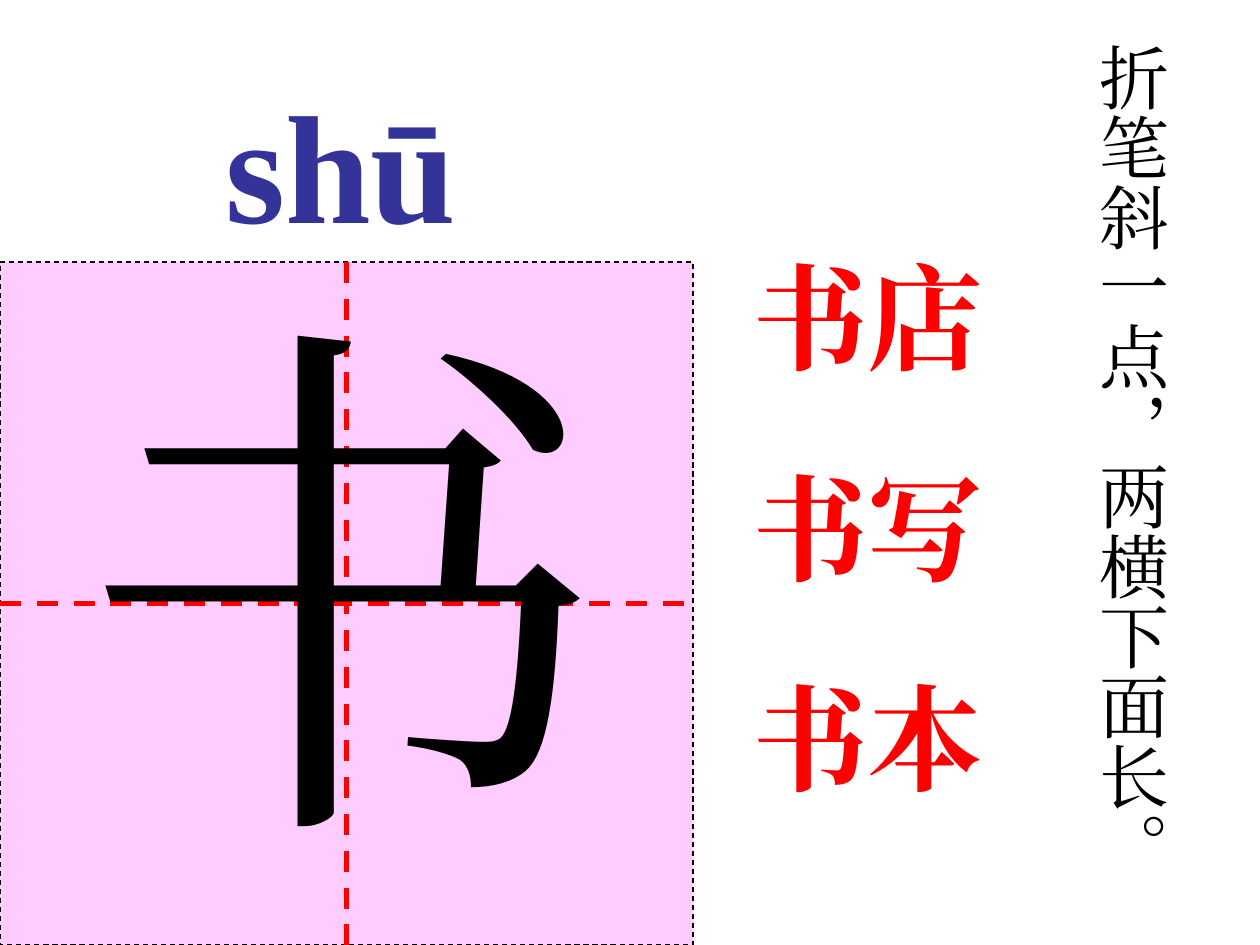
from dataclasses import dataclass

from lxml.etree import SubElement
from pptx import Presentation
from pptx.dml.color import RGBColor
from pptx.enum.dml import MSO_LINE
from pptx.enum.lang import MSO_LANGUAGE_ID
from pptx.enum.shapes import MSO_CONNECTOR, MSO_SHAPE
from pptx.enum.text import MSO_ANCHOR, MSO_AUTO_SIZE, PP_ALIGN
from pptx.oxml.ns import qn
from pptx.util import Cm, Pt


@dataclass(frozen=True)
class TextStyle:
    size: float
    color: RGBColor
    bold: bool = False
    space_between: float = 0
    indent: float = 0


@dataclass(frozen=True)
class Theme:
    font: str = "Times New Roman"
    grid_fill: RGBColor = RGBColor(0xFF, 0xCC, 0xFF)
    black: RGBColor = RGBColor(0, 0, 0)
    red: RGBColor = RGBColor(0xFF, 0, 0)
    blue: RGBColor = RGBColor(0x33, 0x33, 0x99)
    character_size: float = 305
    pinyin_size: float = 88
    word_size: float = 66
    rhyme_size: float = 40


@dataclass(frozen=True)
class Area:
    """Position and size in centimetres."""
    left: float
    top: float
    width: float
    height: float

    def lengths(self) -> tuple:
        return Cm(self.left), Cm(self.top), Cm(self.width), Cm(self.height)


THEME = Theme()
GRID = Area(0, 5.28, 13.97, 13.77)
CHARACTER = Area(1.3, 4.93, 12.27, 13.18)
PINYIN = Area(2.74, 1.27, 12.27, 3.99)
WORDS = Area(14.91, 4.83, 7.42, 11.56)
RHYME = Area(21.62, 0.61, 2.18, 17.17)


def place(box, area: Area) -> None:
    box.left, box.top, box.width, box.height = area.lengths()


def write(box, lines: list[str], style: TextStyle) -> None:
    frame = box.text_frame
    frame.word_wrap = True
    frame.auto_size = MSO_AUTO_SIZE.NONE
    frame.vertical_anchor = MSO_ANCHOR.TOP
    for index, line in enumerate(lines):
        para = frame.add_paragraph() if index else frame.paragraphs[0]
        para.alignment = PP_ALIGN.LEFT
        para.space_before = Pt(style.space_between if index else 0)
        properties = para._p.get_or_add_pPr()
        properties.set("marL", str(Cm(style.indent)))
        properties.set("indent", "0")
        SubElement(properties, qn("a:buNone"))
        span = para.add_run()
        span.text = line
        span.font.name = THEME.font
        span.font.size = Pt(style.size)
        span.font.bold = style.bold
        span.font.color.rgb = style.color
        span.font.language_id = MSO_LANGUAGE_ID.SIMPLIFIED_CHINESE
        east_asian = SubElement(span._r.get_or_add_rPr(), qn("a:ea"))
        east_asian.set("typeface", THEME.font)


def add_guide(group, start: tuple[float, float], end: tuple[float, float]) -> None:
    points = [Cm(value) for value in (*start, *end)]
    guide = group.shapes.add_connector(MSO_CONNECTOR.STRAIGHT, *points)
    guide.line.color.rgb = THEME.red
    guide.line.width = Pt(3)
    guide.line.dash_style = MSO_LINE.DASH
    SubElement(guide._element.spPr, qn("a:effectLst"))


def add_writing_grid(page, area: Area) -> None:
    """Draw the square in which a character is practised, with its centre lines."""
    group = page.shapes.add_group_shape()
    square = group.shapes.add_shape(MSO_SHAPE.RECTANGLE, *area.lengths())
    square.shadow.inherit = False
    square.fill.solid()
    square.fill.fore_color.rgb = THEME.grid_fill
    square.line.color.rgb = THEME.black
    square.line.width = Pt(0.75)
    square.line.dash_style = MSO_LINE.DASH
    right, bottom = area.left + area.width, area.top + area.height
    middle_x, middle_y = area.left + area.width / 2, area.top + area.height / 2
    add_guide(group, (area.left, middle_y), (right, middle_y))
    add_guide(group, (middle_x, area.top), (middle_x, bottom))


def add_rhyme(page, area: Area, text: str) -> None:
    box = page.shapes.add_textbox(*area.lengths())
    write(box, [text], TextStyle(THEME.rhyme_size, THEME.black))
    frame = box.text_frame
    frame.word_wrap = False
    frame.margin_left = frame.margin_right = Cm(0.13)
    frame.margin_top = frame.margin_bottom = Cm(0.25)
    frame._txBody.bodyPr.set("vert", "eaVert")


def main() -> None:
    deck = Presentation()
    deck.slide_width, deck.slide_height = Cm(25.4), Cm(19.05)
    page = deck.slides.add_slide(deck.slide_layouts[1])

    add_writing_grid(page, GRID)
    character = page.shapes.add_textbox(*CHARACTER.lengths())
    write(character, ["书"], TextStyle(THEME.character_size, THEME.black))

    title = page.shapes.title
    place(title, PINYIN)
    write(title, ["shū"], TextStyle(THEME.pinyin_size, THEME.blue, bold=True, indent=1.55))

    words = page.placeholders[1]
    place(words, WORDS)
    write(words, ["书店", "书写", "书本"],
          TextStyle(THEME.word_size, THEME.red, bold=True, space_between=41.2))

    add_rhyme(page, RHYME, "折笔斜一点，两横下面长。")
    deck.save("out.pptx")


if __name__ == "__main__":
    main()
